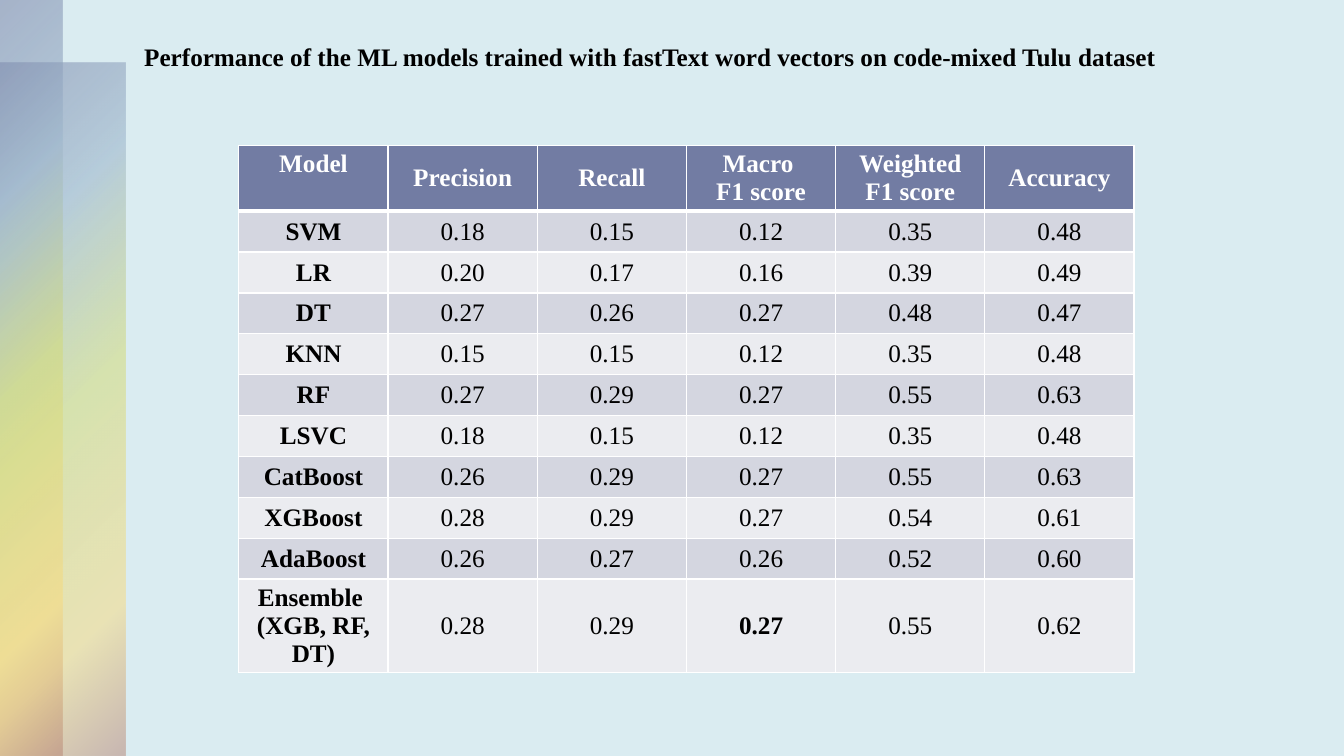
from lxml.etree import SubElement
from pptx import Presentation
from pptx.dml.color import RGBColor
from pptx.enum.shapes import MSO_SHAPE
from pptx.enum.text import MSO_ANCHOR, MSO_AUTO_SIZE, PP_ALIGN
from pptx.oxml.ns import qn
from pptx.util import Cm, Pt

HEADER = ["Model", "Precision", "Recall", "Macro \nF1 score", "Weighted\nF1 score", "Accuracy"]
SCORES = [
    ["SVM", "0.18", "0.15", "0.12", "0.35", "0.48"],
    ["LR", "0.20", "0.17", "0.16", "0.39", "0.49"],
    ["DT", "0.27", "0.26", "0.27", "0.48", "0.47"],
    ["KNN", "0.15", "0.15", "0.12", "0.35", "0.48"],
    ["RF", "0.27", "0.29", "0.27", "0.55", "0.63"],
    ["LSVC", "0.18", "0.15", "0.12", "0.35", "0.48"],
    ["CatBoost", "0.26", "0.29", "0.27", "0.55", "0.63"],
    ["XGBoost", "0.28", "0.29", "0.27", "0.54", "0.61"],
    ["AdaBoost", "0.26", "0.27", "0.26", "0.52", "0.60"],
    ["Ensemble \n(XGB, RF, DT)", "0.28", "0.29", "0.27", "0.55", "0.62"],
]
BEST = (len(SCORES), 3)


def rgb(value):
    """Turn a hex string into a colour."""
    return RGBColor.from_string(value)


def write(tf, text, font="Times New Roman", size=18, color="000000", bold=False, align=PP_ALIGN.CENTER):
    """Fill a text frame with one formatted paragraph per line."""
    for i, line in enumerate(text.split("\n")):
        p = tf.paragraphs[0] if i == 0 else tf.add_paragraph()
        p.alignment = align
        r = p.add_run()
        r.text = line
        r.font.name, r.font.size, r.font.bold = font, Pt(size), bold
        r.font.color.rgb = rgb(color)


class Deck:
    """Hold the style and the current slide."""

    accent, bands, rule = "727CA3", ("EBECF0", "D4D6E0"), "FFFFFF"

    def __init__(self, background):
        """Open a widescreen slide with a plain background."""
        self.prs = Presentation()
        self.prs.slide_width, self.prs.slide_height = Cm(33.87), Cm(19.05)
        self.s = self.prs.slides.add_slide(self.prs.slide_layouts[5])
        self.s.background.fill.solid()
        self.s.background.fill.fore_color.rgb = rgb(background)

    def title(self, text, x, y, w, h):
        """Place the title at the top left."""
        sp = self.s.shapes.title
        sp.left, sp.top, sp.width, sp.height = Cm(x), Cm(y), Cm(w), Cm(h)
        tf = sp.text_frame
        tf.word_wrap, tf.auto_size = True, MSO_AUTO_SIZE.NONE
        tf.vertical_anchor = MSO_ANCHOR.TOP
        write(tf, text, bold=True, align=PP_ALIGN.LEFT)

    def strip(self, x, y, w, h, middle):
        """Draw a translucent strip with a radial gradient from the top left."""
        sp = self.s.shapes.add_shape(MSO_SHAPE.RECTANGLE, Cm(x), Cm(y), Cm(w), Cm(h))
        sp.shadow.inherit = False
        sp.line.fill.background()
        sp.fill.background()
        props = sp.element.spPr
        grad = SubElement(props, qn("a:gradFill"), rotWithShape="1")
        stops = SubElement(grad, qn("a:gsLst"))
        for pos, color, alpha in [(0, self.accent, 50), (25, "9FB8CD", 60), (middle, "D2DA7A", 55),
                                  (81, "FADA7A", 50), (99, "B88472", 50), (100, "B88472", 50)]:
            stop = SubElement(stops, qn("a:gs"), pos=str(pos * 1000))
            clr = SubElement(stop, qn("a:srgbClr"), val=color)
            SubElement(clr, qn("a:alpha"), val=str(alpha * 1000))
        path = SubElement(grad, qn("a:path"), path="circle")
        SubElement(path, qn("a:fillToRect"), r="100000", b="100000")
        props.replace(props.find(qn("a:noFill")), grad)

    def borders(self, cell, bottom, top):
        """Rule the four sides of a cell."""
        props = cell._tc.get_or_add_tcPr()
        for side, width in (("L", 1), ("R", 1), ("T", top), ("B", bottom)):
            ln = SubElement(props, qn(f"a:ln{side}"), w=str(Pt(width)))
            fill = SubElement(ln, qn("a:solidFill"))
            SubElement(fill, qn("a:srgbClr"), val=self.rule)

    def table(self, rows, x, y, col_w, row_h, strong):
        """Draw a banded table with a header row and one emphasised cell."""
        n, m = len(rows), len(rows[0])
        tbl = self.s.shapes.add_table(n, m, Cm(x), Cm(y), Cm(col_w * m), Cm(row_h * n)).table
        for col in tbl.columns:
            col.width = Cm(col_w)
        for i, row in enumerate(rows):
            tbl.rows[i].height = Cm(row_h)
            for j, text in enumerate(row):
                cell, head = tbl.cell(i, j), i == 0
                self.borders(cell, bottom=3 if head else 1, top=3 if i == 1 else 1)
                cell.fill.solid()
                cell.fill.fore_color.rgb = rgb(self.accent if head else self.bands[i % 2])
                cell.vertical_anchor = MSO_ANCHOR.TOP if head and j == 0 else MSO_ANCHOR.MIDDLE
                write(cell.text_frame, text, color=self.rule if head else "000000",
                      bold=head or j == 0 or (i, j) == strong)


def main():
    """Build and save the slide."""
    deck = Deck("DAECF1")
    deck.strip(0, 1.57, 3.17, 17.48, middle=50)
    deck.strip(0, 0, 1.58, 19.05, middle=49)
    deck.table([HEADER] + SCORES, 6.02, 3.66, 3.76, 1.03, BEST)
    deck.title("Performance of the ML models trained with fastText word vectors on code-mixed Tulu dataset",
               3.38, 0.91, 30.48, 1.03)
    deck.prs.save("out.pptx")


if __name__ == "__main__":
    main()
